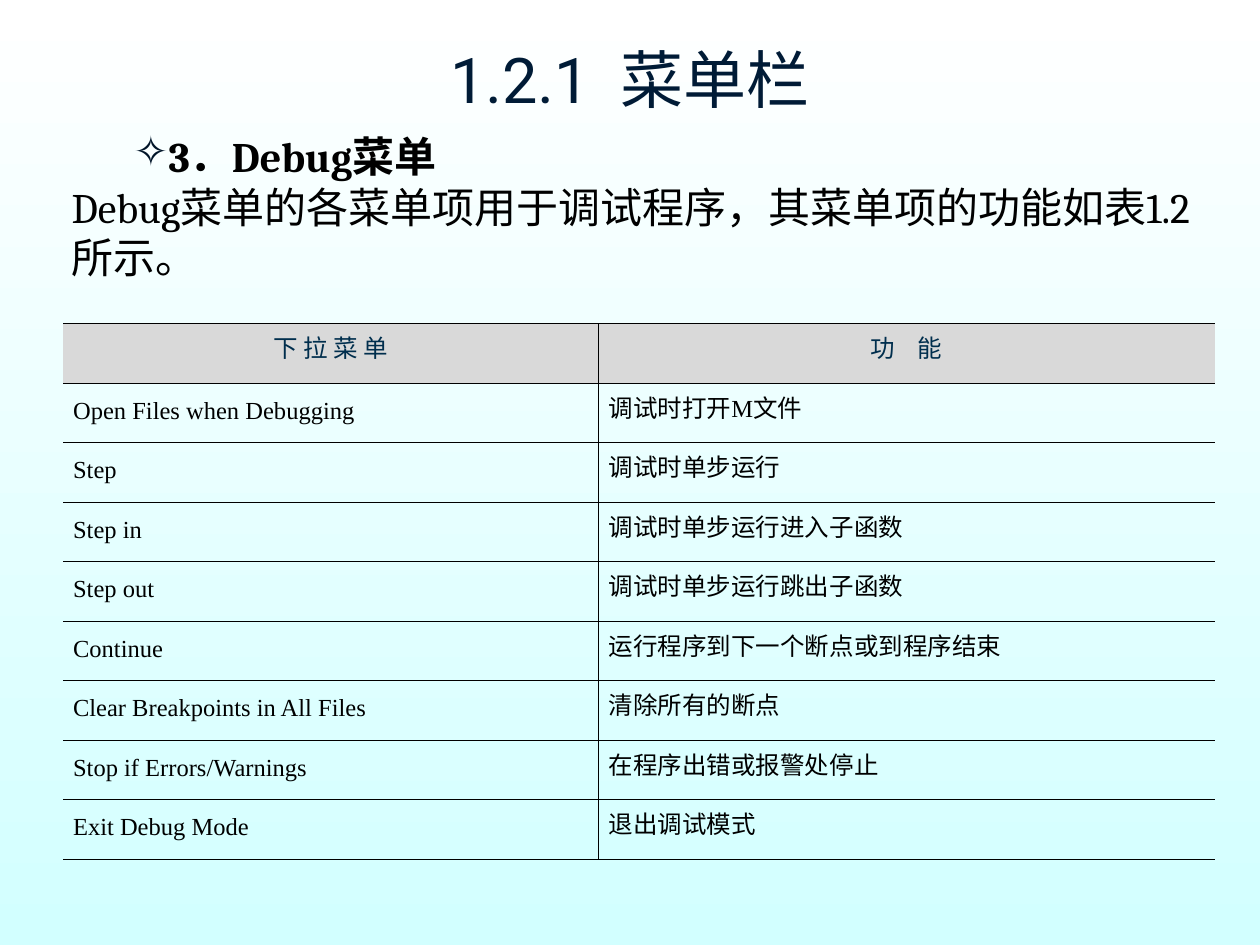
from lxml.etree import SubElement
from pptx import Presentation
from pptx.dml.color import RGBColor
from pptx.enum.text import MSO_ANCHOR as Anchor, PP_ALIGN as Align
from pptx.oxml import parse_xml
from pptx.oxml.ns import nsdecls, qn
from pptx.util import Inches, Pt

COLORS = {
    "top": "FFFFFF", "bottom": "D2FFFF", "title": "001B36", "bullet": "001428",
    "text": "000000", "header_text": "002E4D", "header_fill": "D9D9D9",
}
MENU = [
    ("下 拉 菜 单", "功    能"),
    ("Open Files when Debugging", "调试时打开M文件"),
    ("Step", "调试时单步运行"),
    ("Step in", "调试时单步运行进入子函数"),
    ("Step out", "调试时单步运行跳出子函数"),
    ("Continue", "运行程序到下一个断点或到程序结束"),
    ("Clear Breakpoints in All Files", "清除所有的断点"),
    ("Stop if Errors/Warnings", "在程序出错或报警处停止"),
    ("Exit Debug Mode", "退出调试模式"),
]


def write(paragraph, text, color, **font_format):
    run = paragraph.add_run()
    run.text = text
    run.font.color.rgb = RGBColor.from_string(COLORS[color])
    for name, value in font_format.items():
        setattr(run.font, name, value)


def add_text_box(slide, left, top, width, height, anchor):
    frame = slide.shapes.add_textbox(
        Inches(left), Inches(top), Inches(width), Inches(height)).text_frame
    frame.word_wrap = True
    frame.vertical_anchor = anchor
    return frame


presentation = Presentation()
presentation.slide_width = Inches(10)
presentation.slide_height = Inches(7.5)
slide = presentation.slides.add_slide(presentation.slide_layouts[6])

background = slide.background.fill
background.gradient()
background.gradient_angle = 270
for stop, name in zip(background.gradient_stops, ("top", "bottom")):
    stop.color.rgb = RGBColor.from_string(COLORS[name])

title = add_text_box(slide, 0.5, 0, 9, 1.25, Anchor.MIDDLE).paragraphs[0]
title.alignment = Align.CENTER
write(title, "1.2.1  菜单栏", "title", name="Roboto", size=Pt(36))

body = add_text_box(slide, 0.47, 0.99, 9.14, 1.7, Anchor.TOP)
heading = body.paragraphs[0]
write(heading, "3．Debug菜单", "text", name="Cambria", size=Pt(24), bold=True)
properties = heading._p.get_or_add_pPr()
properties.set("marL", "0")
properties.set("indent", str(Inches(0.49)))
bullet_color = SubElement(properties, qn("a:buClr"))
SubElement(bullet_color, qn("a:srgbClr"), val=COLORS["bullet"])
SubElement(properties, qn("a:buChar"), char="✧")
write(body.add_paragraph(), "Debug菜单的各菜单项用于调试程序，其菜单项的功能如表1.2所示。",
      "text", name="Cambria", size=Pt(24), bold=False)

table = slide.shapes.add_table(
    len(MENU), 2, Inches(0.5), Inches(2.57), Inches(9.14), Inches(4.25)).table
table.horz_banding = False
for column, width in zip(table.columns, (4.25, 4.89)):
    column.width = Inches(width)

solid = f'<a:solidFill><a:srgbClr val="{COLORS["text"]}"/></a:solidFill>'
for row, texts in enumerate(MENU):
    is_header = row == 0
    for column, text in enumerate(texts):
        cell = table.cell(row, column)
        cell_format = {
            "vertical_anchor": Anchor.MIDDLE,
            "margin_left": Inches(0.08), "margin_right": Inches(0.08),
            "margin_top": Inches(0.05), "margin_bottom": Inches(0.05),
        }
        for name, value in cell_format.items():
            setattr(cell, name, value)
        if is_header:
            cell.fill.solid()
            cell.fill.fore_color.rgb = RGBColor.from_string(COLORS["header_fill"])
        else:
            cell.fill.background()
        paragraph = cell.text_frame.paragraphs[0]
        paragraph.alignment = Align.CENTER if is_header else Align.JUSTIFY
        paragraph.line_spacing = Pt(13)
        write(paragraph, text, "header_text" if is_header else "text",
              name="Times New Roman", size=Pt(14), bold=False)
        outer_side = "LR"[column]
        for position, side in enumerate("LRTB"):
            paint = "<a:noFill/>" if side == outer_side else solid
            cell._tc.get_or_add_tcPr().insert(position, parse_xml(
                f'<a:ln{side} {nsdecls("a")} w="{Pt(0.45)}">{paint}</a:ln{side}>'))

presentation.save("out.pptx")
